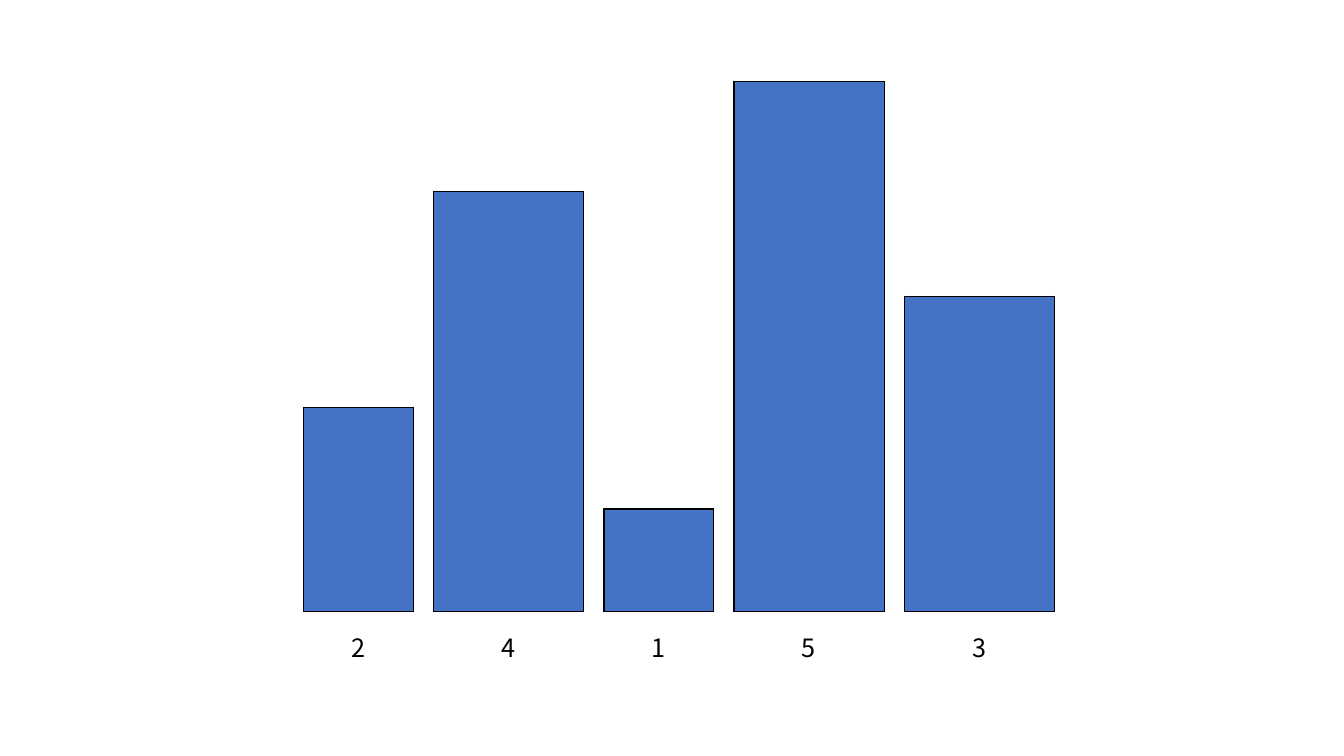
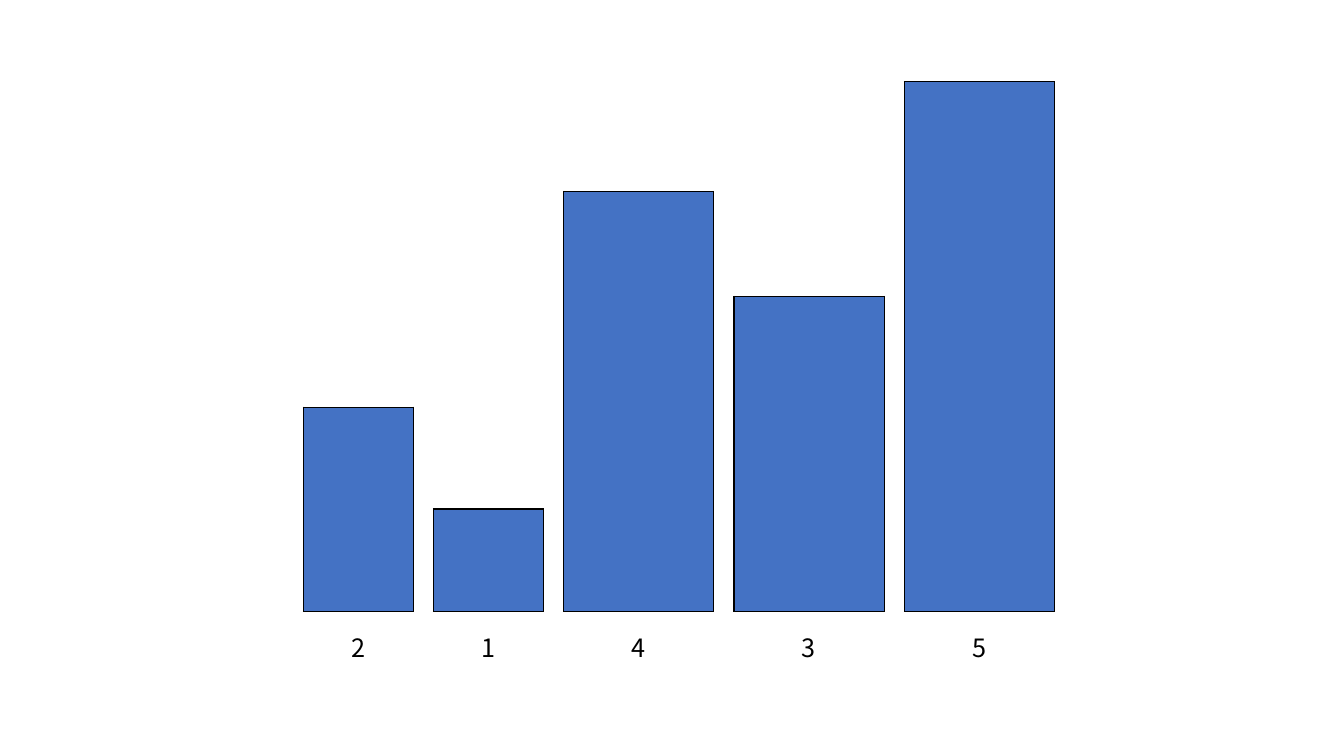
"""Build two slides of numbered bars, each bar a one-column table of unit cells."""
from lxml import etree
from pptx import Presentation
from pptx.dml.color import RGBColor
from pptx.enum import text
from pptx.oxml import ns
from pptx.util import Inches, Pt

COLORS = {"bar": "4472C4", "ink": "000000"}
FONT = "Noto Sans CJK KR"
NO_STYLE = "{2D5ABB26-0587-4C30-8999-92F81FD0307C}"
HEIGHTS = {1: 1.02, 2: 2.03, 3: 3.13, 4: 4.17, 5: 5.26}
ORDERS = [(2, 4, 1, 5, 3), (2, 1, 4, 3, 5)]
LEFT, BASE, GAP = 3.01, 6.07, 0.2
NARROW, WIDE = 1.09, 1.49
LABEL_TOP, LABEL_W, LABEL_H = 6.22, 0.34, 0.4


def add_border(cell, side):
    tcPr = cell._tc.get_or_add_tcPr()
    ln = etree.SubElement(tcPr, ns.qn(f"a:ln{side}"), w=str(Pt(1)))
    fill = etree.SubElement(ln, ns.qn("a:solidFill"))
    etree.SubElement(fill, ns.qn("a:srgbClr"), val=COLORS["ink"])


prs = Presentation()
prs.slide_width, prs.slide_height = Inches(13.33), Inches(7.5)

for order in ORDERS:
    s = prs.slides.add_slide(prs.slide_layouts[6])
    x = LEFT
    for value in order:
        width = NARROW if value <= 2 else WIDE
        height = HEIGHTS[value]
        bar = s.shapes.add_table(value, 1, Inches(x), Inches(BASE - height),
                                 Inches(width), Inches(height)).table
        bar.first_row = bar.horz_banding = False
        bar._tbl.tblPr.find(ns.qn("a:tableStyleId")).text = NO_STYLE
        for i in range(value):
            cell = bar.cell(i, 0)
            sides = "LR" + "T" * (i == 0) + "B" * (i == value - 1)
            for side in sides:
                add_border(cell, side)
            cell.fill.solid()
            cell.fill.fore_color.rgb = RGBColor.from_string(COLORS["bar"])

        label = s.shapes.add_textbox(Inches(x + (width - LABEL_W) / 2), Inches(LABEL_TOP),
                                     Inches(LABEL_W), Inches(LABEL_H))
        tf = label.text_frame
        tf.word_wrap = False
        tf.auto_size = text.MSO_AUTO_SIZE.SHAPE_TO_FIT_TEXT
        p = tf.paragraphs[0]
        r = p.add_run()
        r.text = str(value)
        r.font.name, r.font.size = FONT, Pt(18)
        r.font.color.rgb = RGBColor.from_string(COLORS["ink"])
        x += width + GAP

prs.save("out.pptx")
